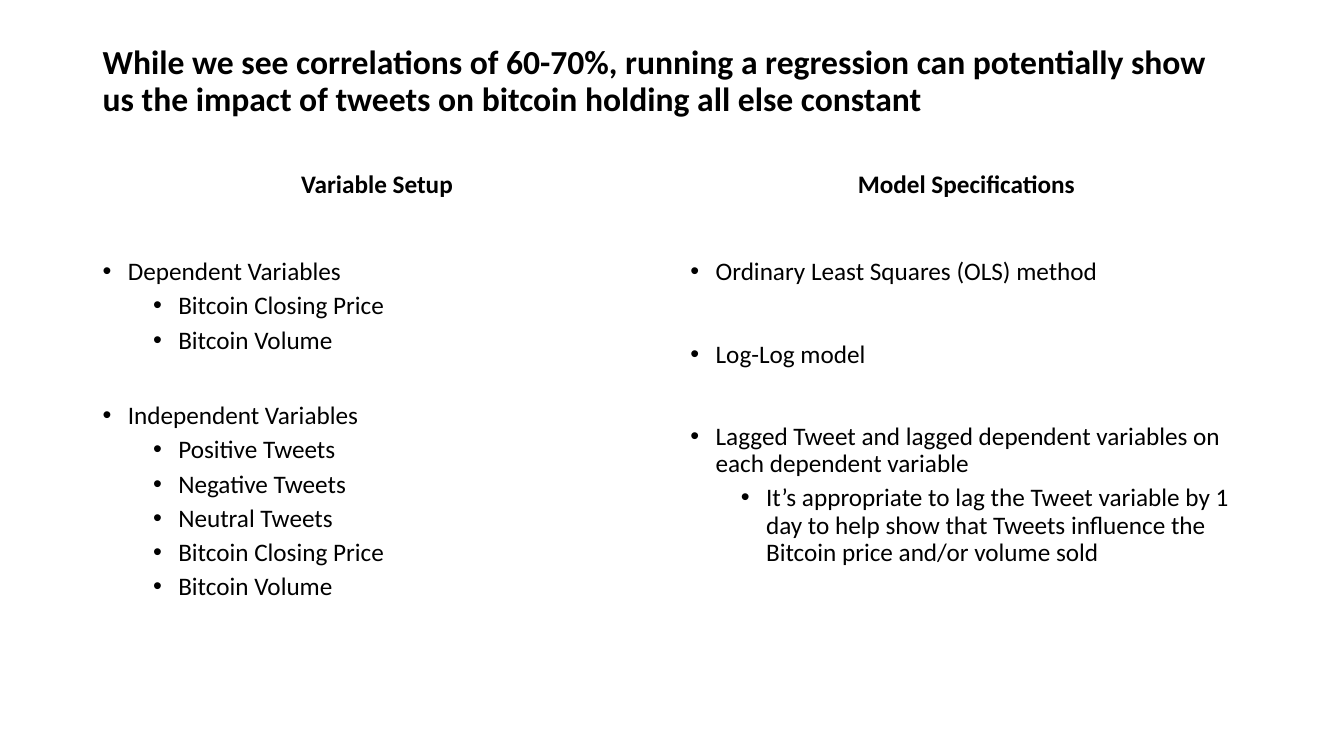
from lxml import etree
from pptx import Presentation
from pptx.dml.color import RGBColor
from pptx.enum.text import MSO_ANCHOR, PP_ALIGN
from pptx.oxml.ns import qn
from pptx.util import Inches, Pt

BLACK = RGBColor(0x00, 0x00, 0x00)
WHITE = RGBColor(0xFF, 0xFF, 0xFF)
FONT = "Calibri"
TOP, MIDDLE = MSO_ANCHOR.TOP, MSO_ANCHOR.MIDDLE
LEFT, CENTER = PP_ALIGN.LEFT, PP_ALIGN.CENTER

TITLE = (
    "While we see correlations of 60-70%, running a regression can potentially "
    "show us the impact of tweets on bitcoin holding all else constant"
)
HEADING_TOP, HEADING_HEIGHT = 1.56, 0.55
LIST_TOP, LIST_HEIGHT = 2.52, 4.03
SUB_ITEM_SPACE = 5

# Each column: left, width, heading, space before a new group, groups of (item, sub-items)
COLUMNS = [
    (0.92, 5.64, "Variable Setup", 34.5, [
        ("Dependent Variables", ["Bitcoin Closing Price", "Bitcoin Volume"]),
        ("Independent Variables", [
            "Positive Tweets",
            "Negative Tweets",
            "Neutral Tweets",
            "Bitcoin Closing Price",
            "Bitcoin Volume",
        ]),
    ]),
    (6.75, 5.67, "Model Specifications", 39.4, [
        ("Ordinary Least Squares (OLS) method", []),
        ("Log-Log model", []),
        ("Lagged Tweet and lagged dependent variables on each dependent variable", [
            "It’s appropriate to lag the Tweet variable by 1 day to help show that "
            "Tweets influence the Bitcoin price and/or volume sold",
        ]),
    ]),
]


def set_attributes(target, values):
    for name, value in values.items():
        setattr(target, name, value)


def add_text_frame(slide, left, top, width, height, anchor):
    shape = slide.shapes.add_textbox(
        Inches(left), Inches(top), Inches(width), Inches(height))
    shape.fill.solid()
    shape.fill.fore_color.rgb = WHITE
    set_attributes(shape.text_frame, {"word_wrap": True, "vertical_anchor": anchor})
    return shape.text_frame


def format_paragraph(paragraph, text, size, bold=False, alignment=LEFT):
    paragraph.text = text
    set_attributes(paragraph, {"alignment": alignment, "line_spacing": 0.9})
    font = paragraph.runs[0].font
    set_attributes(font, {"name": FONT, "size": Pt(size), "bold": bold})
    font.color.rgb = BLACK


def add_bullet(paragraph, level):
    """Give the paragraph a round bullet with a hanging indent."""
    paragraph.level = level
    properties = paragraph._p.get_or_add_pPr()
    properties.set("marL", str(Inches(0.25 + 0.5 * level)))
    properties.set("indent", str(Inches(-0.25)))
    etree.SubElement(properties, qn("a:buFont")).set("typeface", "Arial")
    etree.SubElement(properties, qn("a:buChar")).set("char", "•")


def add_line(slide, text, box, size, alignment):
    """Add one bold, vertically centred text such as the title or a heading."""
    frame = add_text_frame(slide, *box, MIDDLE)
    format_paragraph(frame.paragraphs[0], text, size, True, alignment)


def add_bullet_list(slide, groups, box, group_space):
    frame = add_text_frame(slide, *box, TOP)
    entries = []
    for item, sub_items in groups:
        entries.append((item, 0, group_space))
        entries.extend((sub_item, 1, SUB_ITEM_SPACE) for sub_item in sub_items)
    for index, (text, level, space) in enumerate(entries):
        paragraph = frame.add_paragraph() if index else frame.paragraphs[0]
        add_bullet(paragraph, level)
        format_paragraph(paragraph, text, 18)
        if index:
            paragraph.space_before = Pt(space)


def main():
    presentation = Presentation()
    set_attributes(presentation, {
        "slide_width": Inches(13.33), "slide_height": Inches(7.5)})
    slide = presentation.slides.add_slide(presentation.slide_layouts[6])

    add_line(slide, TITLE, (0.92, 0.4, 11.5, 0.83), 24, LEFT)
    for left, width, heading, group_space, groups in COLUMNS:
        add_line(slide, heading, (left, HEADING_TOP, width, HEADING_HEIGHT), 18, CENTER)
        add_bullet_list(slide, groups, (left, LIST_TOP, width, LIST_HEIGHT), group_space)

    presentation.save("out.pptx")


if __name__ == "__main__":
    main()
